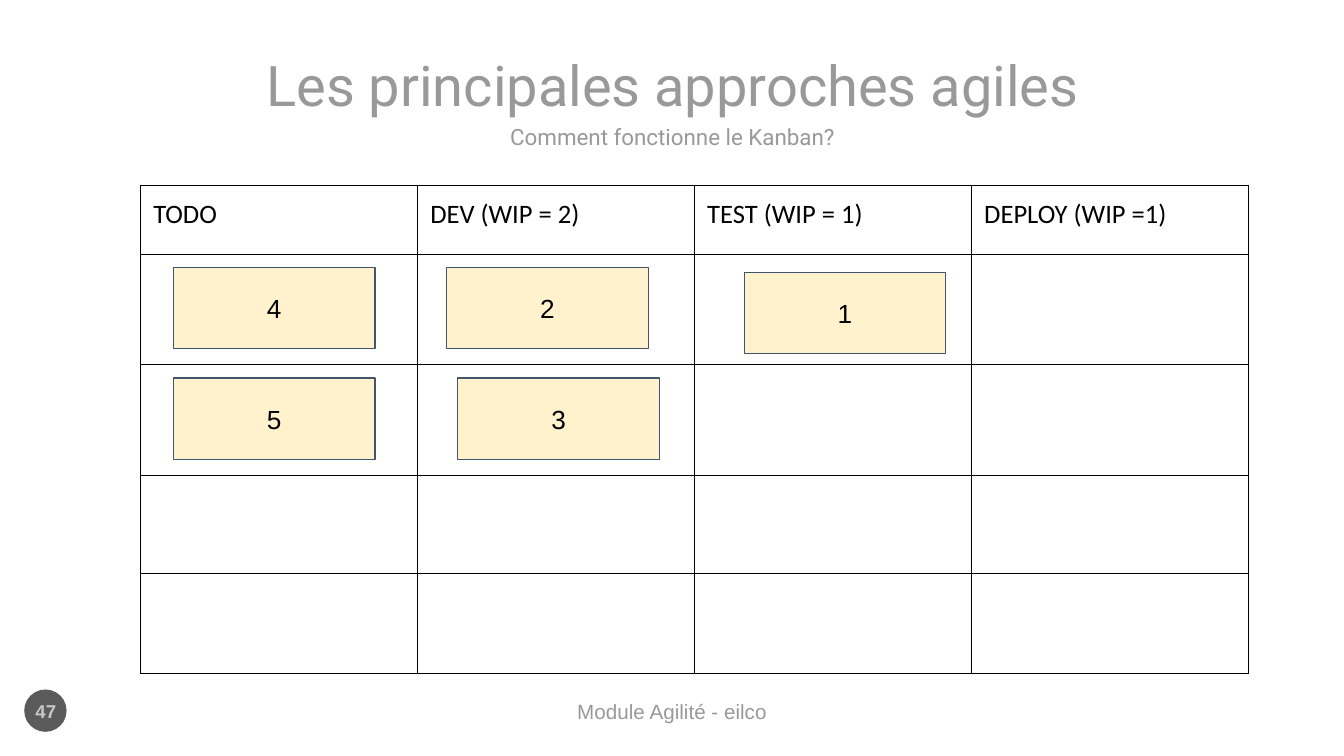
import pptx
import pptx.util
import pptx.dml.color
import pptx.enum.shapes
import pptx.enum.text
import pptx.oxml
import pptx.oxml.ns

Inches = pptx.util.Inches
Pt = pptx.util.Pt
RGBColor = pptx.dml.color.RGBColor
Shape = pptx.enum.shapes.MSO_SHAPE
Align = pptx.enum.text.PP_ALIGN
Anchor = pptx.enum.text.MSO_ANCHOR

GREY = RGBColor(0x99, 0x99, 0x99)
DARK_GREY = RGBColor(0x5B, 0x5B, 0x5B)
LIGHT_GREY = RGBColor(0xC8, 0xC8, 0xC8)
BLACK = RGBColor(0, 0, 0)
CARD_FILL = RGBColor(0xFF, 0xF2, 0xCC)
CARD_LINE = RGBColor(0x44, 0x54, 0x6A)

HEADINGS = ["TODO", "DEV (WIP = 2)", "TEST (WIP = 1)", "DEPLOY (WIP =1)"]
ROW_HEIGHTS = [0.68, 1.1, 1.1, 0.97, 0.99]
# Label, left and top of each card relative to the board
CARDS = [
    ("1", 5.99, 0.86),
    ("2", 3.04, 0.81),
    ("3", 3.15, 1.91),
    ("4", 0.33, 0.81),
    ("5", 0.33, 1.91),
]


def set_margins(item, horizontal, vertical):
    item.margin_left = item.margin_right = Inches(horizontal)
    item.margin_top = item.margin_bottom = Inches(vertical)


def style_font(font, name, size, color, bold=False):
    font.name = name
    font.size = Pt(size)
    font.bold = bold
    font.color.rgb = color


def write_centred(shape, text, name, size, color, margins=(0, 0),
                  anchor=Anchor.MIDDLE, bold=False):
    frame = shape.text_frame
    frame.text = text
    frame.word_wrap = True
    frame.auto_size = pptx.enum.text.MSO_AUTO_SIZE.NONE
    frame.vertical_anchor = anchor
    set_margins(frame, *margins)
    para = frame.paragraphs[0]
    para.alignment = Align.CENTER
    para.space_before = Pt(0)
    style_font(para.runs[0].font, name, size, color, bold)


def place(shape, left, top, width, height):
    shape.left, shape.top = Inches(left), Inches(top)
    shape.width, shape.height = Inches(width), Inches(height)


def add_header(page, left, top, width):
    title, subtitle = page.shapes.title, page.placeholders[1]
    place(title, left, top, width, 0.54)
    write_centred(title, "Les principales approches agiles",
                  "Roboto", 40, GREY, (0.1, 0.1))
    subtitle_width = 4.46
    place(subtitle, left + (width - subtitle_width) / 2, top + 0.65,
          subtitle_width, 0.29)
    write_centred(subtitle, "Comment fonctionne le Kanban?",
                  "Roboto", 16, GREY, (0.1, 0.1))


def add_footer(page, left, top):
    badge = page.shapes.add_shape(Shape.OVAL, Inches(left), Inches(top),
                                  Inches(0.42), Inches(0.42))
    badge.shadow.inherit = False
    badge.fill.solid()
    badge.fill.fore_color.rgb = DARK_GREY
    badge.line.fill.background()

    footer = page.shapes.add_textbox(Inches(left + 0.77), Inches(top + 0.09),
                                     Inches(11.31), Inches(0.4))
    write_centred(footer, "Module Agilité - eilco", "Arial", 14.7, GREY,
                  anchor=Anchor.TOP)
    number = page.shapes.add_textbox(Inches(left - 0.12), Inches(top + 0.01),
                                     Inches(0.67), Inches(0.4))
    write_centred(number, "47", "Arial", 13.3, LIGHT_GREY, (0.13, 0.07),
                  bold=True)


def set_borders(cell):
    properties = cell._tc.get_or_add_tcPr()
    for index, side in enumerate(("lnL", "lnR", "lnT", "lnB")):
        border = pptx.oxml.parse_xml(
            f'<a:{side} {pptx.oxml.ns.nsdecls("a")} w="9525"><a:solidFill>'
            f'<a:srgbClr val="{BLACK}"/></a:solidFill></a:{side}>')
        properties.insert(index, border)


def add_board(page, left, top, width):
    frame = page.shapes.add_table(
        len(ROW_HEIGHTS), len(HEADINGS), Inches(left), Inches(top),
        Inches(width), Inches(sum(ROW_HEIGHTS)))
    table = frame.table
    table.first_row = table.horz_banding = False
    for column in table.columns:
        column.width = Inches(width / len(HEADINGS))
    for row, height in zip(table.rows, ROW_HEIGHTS):
        row.height = Inches(height)
    for cell in table.iter_cells():
        cell.fill.background()
        set_margins(cell, 0.13, 0.13)
        set_borders(cell)
    for cell, heading in zip(table.rows[0].cells, HEADINGS):
        cell.text = heading
        run = cell.text_frame.paragraphs[0].runs[0]
        style_font(run.font, "Calibri", 19, BLACK)

    for label, card_left, card_top in CARDS:
        add_card(page, label, left + card_left, top + card_top)


def add_card(page, label, left, top):
    card = page.shapes.add_shape(Shape.RECTANGLE, Inches(left), Inches(top),
                                 Inches(2), Inches(0.81))
    card.shadow.inherit = False
    card.fill.solid()
    card.fill.fore_color.rgb = CARD_FILL
    card.line.color.rgb = CARD_LINE
    card.line.width = Pt(0.75)
    write_centred(card, label, "Arial", 18.7, BLACK, (0.13, 0.13))


def main():
    deck = pptx.Presentation()
    deck.slide_width, deck.slide_height = Inches(13.33), Inches(7.5)
    page = deck.slides.add_slide(deck.slide_layouts[0])
    add_header(page, 2.53, 0.56, 8.28)
    add_footer(page, 0.24, 6.84)
    add_board(page, 1.39, 1.84, 10.99)
    deck.save("out.pptx")


if __name__ == "__main__":
    main()
